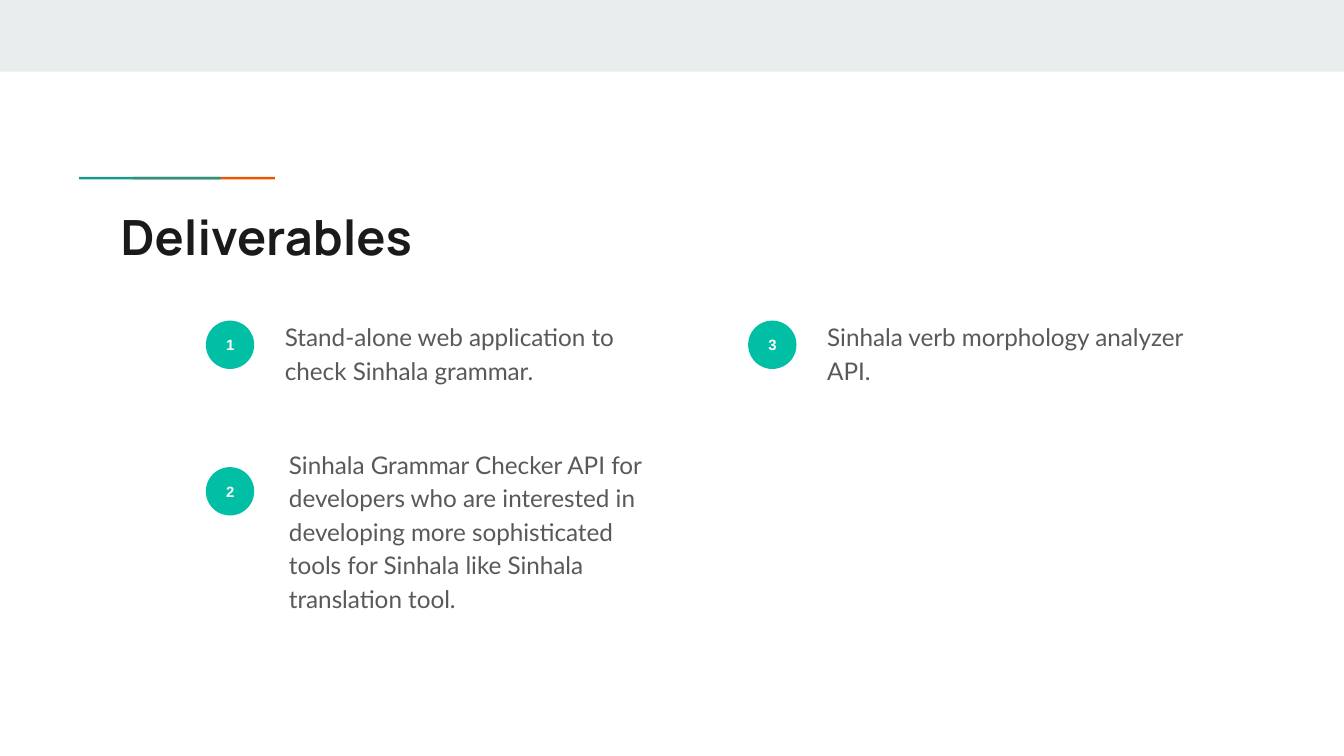
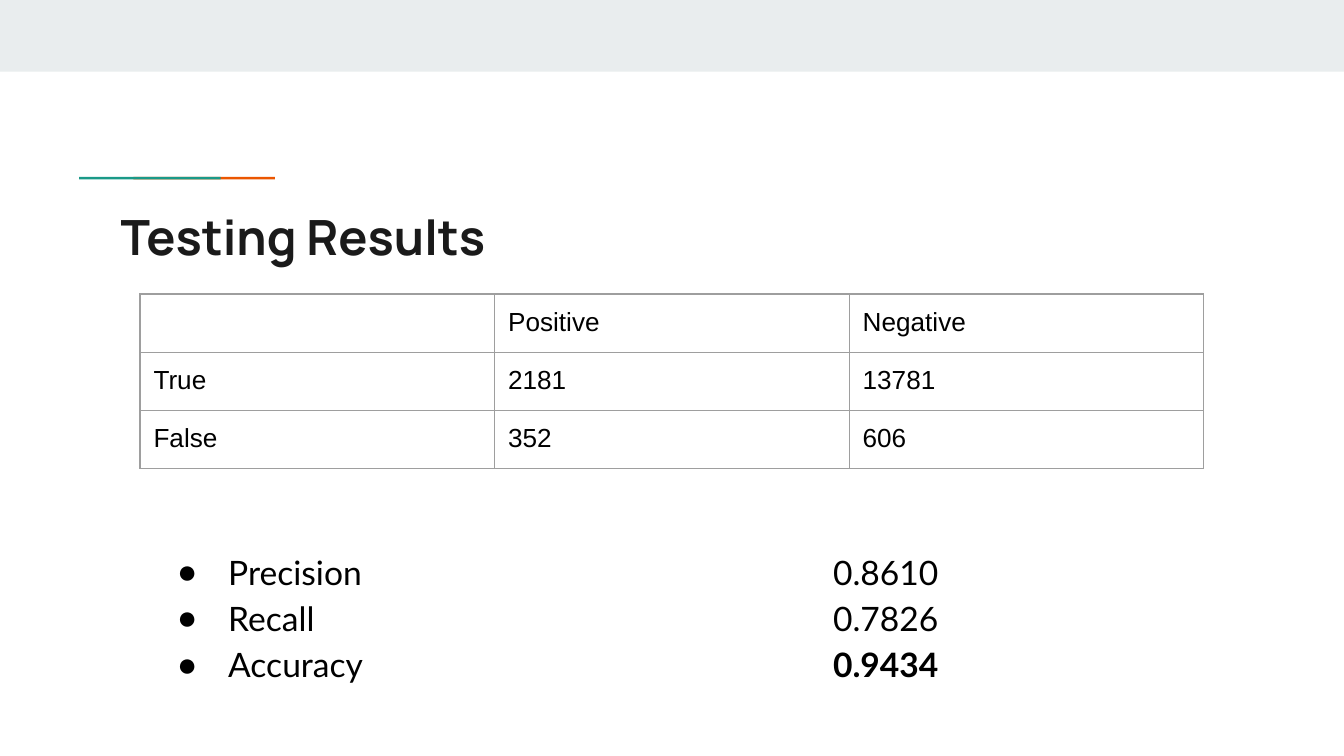
from collections import namedtuple

from lxml import etree
from pptx import Presentation
from pptx import util as u
from pptx.dml.color import RGBColor
from pptx.enum import shapes, text
from pptx.oxml import ns

# The slide is a grid of 100 columns by 56.25 rows with square cells.
CELL = u.Inches(0.1)
COLUMNS, ROWS = 100, 56.25
INSET = CELL

BAND, TEAL, ORANGE, BADGE = "E9EDEE", "1A9988", "EB5600", "00BFA5"
TITLE, BODY, BLACK, WHITE, BORDER = "1A1A1A", "595959", "000000", "FFFFFF", "9E9E9E"


class Box(namedtuple("Box", "left top width height")):
    """An area of the grid, in columns and rows."""

    def inside(self, left, top, width, height):
        return Box(self.left + left, self.top + top, width, height)

    def lengths(self):
        return [round(value * CELL) for value in self]


def color(value):
    return RGBColor.from_string(value)


def add_child(parent, tag, **attributes):
    return etree.SubElement(parent, ns.qn(tag), attributes)


def add_block(parent, box, fill, kind=shapes.MSO_SHAPE.RECTANGLE):
    """Add a plain filled shape to a slide or a group."""
    block = parent.shapes.add_shape(kind, *box.lengths())
    block.shadow.inherit = False
    block.fill.solid()
    block.fill.fore_color.rgb = color(fill)
    block.line.fill.background()
    return block


def set_insets(frame):
    frame.margin_left = frame.margin_right = INSET
    frame.margin_top = frame.margin_bottom = INSET
    frame.word_wrap = True


def style_spans(para, size, font, ink, bold=False):
    for span in para.runs:
        span.font.size = u.Pt(size)
        span.font.name = font
        span.font.bold = bold
        span.font.color.rgb = color(ink)


def add_text(page, box, words):
    """Add a text box and return its first paragraph."""
    frame = page.shapes.add_textbox(*box.lengths()).text_frame
    set_insets(frame)
    frame.text = words
    return frame.paragraphs[0]


def add_rule(page, box):
    """Add two overlapping upright bars, turned flat and stretched as a group."""
    rule = page.shapes.add_group_shape()
    for left, fill in ((1.57, ORANGE), (0, TEAL)):
        bar = add_block(rule, box.inside(left, 0, 0.2, box.height), fill)
        bar.rotation = 270
    rule.left, rule.top, rule.width, rule.height = box.lengths()


def add_page(deck, title):
    """Add a slide with the top band, the two-colour rule and the title."""
    page = deck.slides.add_slide(deck.slide_layouts[6])
    add_block(page, Box(0, 0, COLUMNS, 5.33), BAND)
    add_rule(page, Box(10.9, 11.2, 4.55, 4.1))
    para = add_text(page, Box(8, 14.4, 84.1, 5.9), title)
    style_spans(para, 26, "Manrope", TITLE, bold=True)
    return page


def add_deliverable(page, box, number, words, area):
    """Place a numbered badge, and its words in an area relative to the badge."""
    badge = add_block(page, box.inside(0, 0, 3.6, 3.6), BADGE, shapes.MSO_SHAPE.OVAL)
    frame = badge.text_frame
    set_insets(frame)
    frame.vertical_anchor = text.MSO_ANCHOR.MIDDLE
    frame.text = str(number)
    frame.paragraphs[0].alignment = text.PP_ALIGN.CENTER
    style_spans(frame.paragraphs[0], 8, "Arial", WHITE, bold=True)

    para = add_text(page, box.inside(*area), words)
    para.line_spacing = 1.15
    style_spans(para, 13, "Lato", BODY)


def deliverables(page, box):
    beside, above = (4.9, -1.2, 31, 11.5), (5.2, -2.6, 29.4, 11.5)
    items = [
        (0, 0, "Stand-alone web application to check Sinhala grammar.", beside),
        (0, 10.9, "Sinhala Grammar Checker API for developers who are interested in "
         "developing more sophisticated tools for Sinhala like Sinhala translation tool.",
         above),
        (40.35, 0, "Sinhala verb morphology analyzer API.", beside),
    ]
    for number, (left, top, words, area) in enumerate(items, 1):
        add_deliverable(page, box.inside(left, top, 36, 11.5), number, words, area)


def set_borders(cell):
    properties = cell._tc.get_or_add_tcPr()
    for index, side in enumerate("LRTB"):
        line = add_child(properties, f"a:ln{side}", w=str(u.Pt(0.75)))
        fill = add_child(line, "a:solidFill")
        add_child(fill, "a:srgbClr", val=BORDER)
        properties.insert(index, line)


def confusion_table(page, box):
    rows = [
        ("", "Positive", "Negative"),
        ("True", "2181", "13781"),
        ("False", "352", "606"),
    ]
    table = page.shapes.add_table(len(rows), len(rows[0]), *box.lengths()).table
    table.first_row = table.horz_banding = False
    for row in table.rows:
        row.height = round(box.height * CELL / len(rows))
    for cell, words in zip(table.iter_cells(), sum(rows, ())):
        cell.fill.background()
        set_borders(cell)
        cell.margin_left = cell.margin_right = INSET
        cell.margin_top = cell.margin_bottom = INSET
        cell.text = words
        para = cell.text_frame.paragraphs[0]
        style_spans(para, 14, "Arial", BLACK)
        ending = para._p.get_or_add_endParaRPr()
        ending.set("sz", "1400")
        add_child(ending, "a:latin", typeface="Arial")


def format_score(para):
    """Give a score line its bullet and the tab stop of its value."""
    para.line_spacing = 1.15
    properties = para._p.get_or_add_pPr()
    properties.set("marL", str(u.Inches(0.5)))
    properties.set("indent", str(u.Inches(-0.38)))
    add_child(add_child(properties, "a:buClr"), "a:srgbClr", val=BLACK)
    add_child(properties, "a:buFont", typeface="Arial")
    add_child(properties, "a:buChar", char="●")
    stops = add_child(properties, "a:tabLst")
    add_child(stops, "a:tab", pos=str(u.Inches(5)), algn="l")


def scores(page, box):
    values = [("Precision", "0.8610"), ("Recall", "0.7826"), ("Accuracy", "0.9434")]
    frame = page.shapes.add_textbox(*box.lengths()).text_frame
    set_insets(frame)
    frame.text = "\n".join(f"{name}\t" for name, _ in values)
    for para, (_, value) in zip(frame.paragraphs, values):
        format_score(para)
        para.add_run().text = value
        style_spans(para, 18, "Lato", BLACK)
    frame.paragraphs[-1].runs[-1].font.bold = True


def main():
    deck = Presentation()
    deck.slide_width = round(COLUMNS * CELL)
    deck.slide_height = round(ROWS * CELL)

    deliverables(add_page(deck, "Deliverables"), Box(15.32, 23.86, 76.2, 20))

    results = add_page(deck, "Testing Results")
    confusion_table(results, Box(10.42, 21.87, 79.15, 12.5))
    scores(results, Box(11, 39.6, 78.6, 12.9))

    deck.save("out.pptx")


if __name__ == "__main__":
    main()
